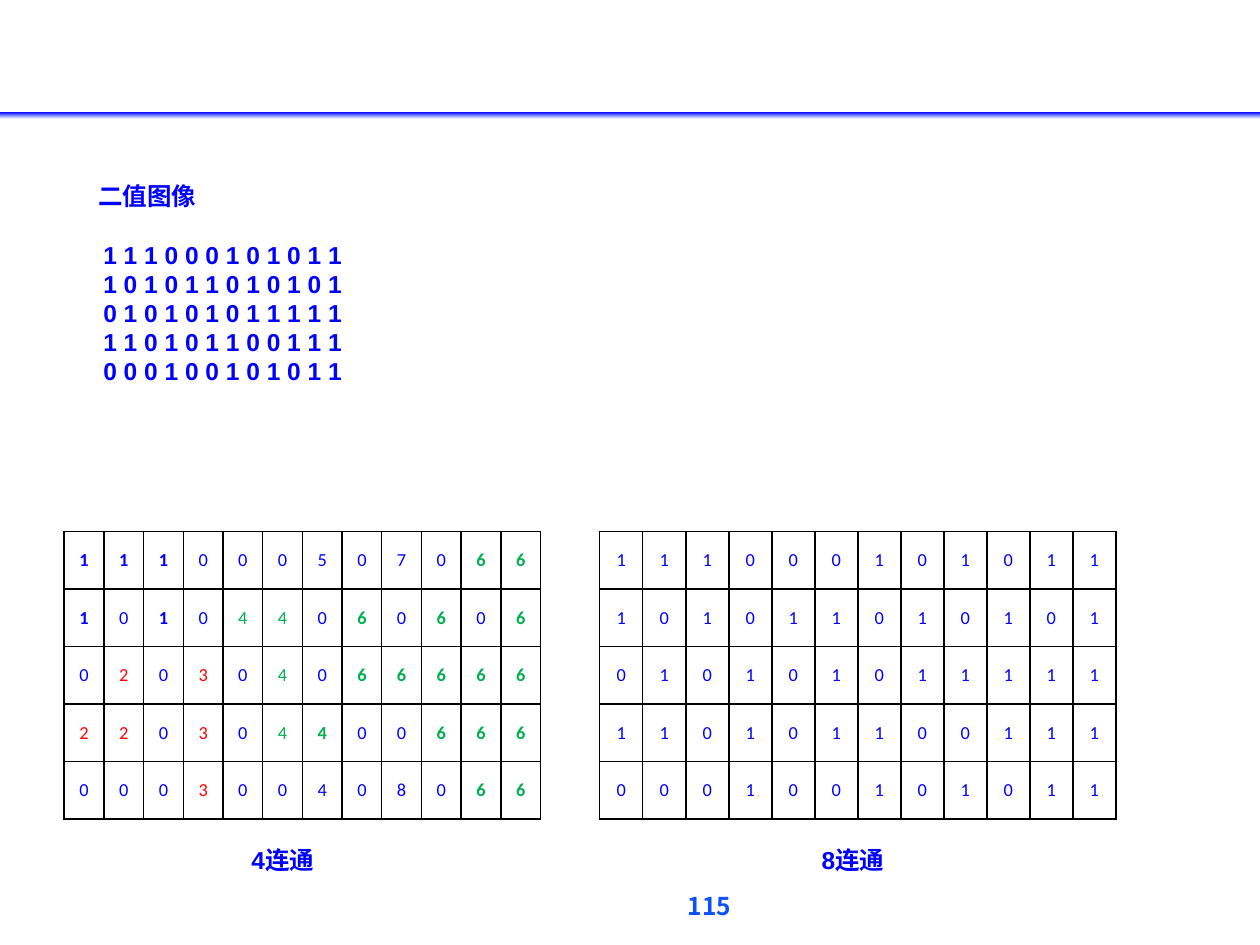
from copy import deepcopy
from dataclasses import dataclass, field

from lxml.etree import SubElement
from pptx import Presentation
from pptx.dml.color import RGBColor
from pptx.enum.shapes import MSO_SHAPE
from pptx.enum.text import MSO_ANCHOR, PP_ALIGN
from pptx.oxml.ns import qn
from pptx.util import Inches, Pt

BLUE, GREEN, RED, BLACK = "0000FF", "00B050", "FF0000", "000000"
CJK_FONT = "Noto Sans CJK SC"

BINARY_ROWS = ["111000101011", "101011010101", "010101011111",
               "110101100111", "000100101011"]
LABELLED_ROWS = ["111000507066", "101044060606", "020304066666",
                 "220304400666", "000300408066"]


@dataclass
class CellStyle:
    color: str = BLUE
    bold: bool = False


@dataclass
class Grid:
    left: float
    width: float
    rows: list[str]
    by_label: dict[str, CellStyle] = field(default_factory=dict)
    by_cell: dict[tuple[int, int], CellStyle] = field(default_factory=dict)


@dataclass
class Caption:
    text: str
    left: float
    top: float
    width: float
    height: float
    font: str = "Arial"
    color: str = BLUE
    line_spacing: float = 1.0


GRIDS = [
    Grid(0.51, 3.78, LABELLED_ROWS,
         by_label={"1": CellStyle(bold=True), "2": CellStyle(RED),
                   "3": CellStyle(RED), "4": CellStyle(GREEN),
                   "6": CellStyle(GREEN, True)},
         by_cell={(3, 6): CellStyle(GREEN, True), (4, 6): CellStyle()}),
    Grid(4.76, 4.1, BINARY_ROWS),
]
CAPTIONS = [
    Caption("4连通", 1.46, 6.66, 1.57, 0.44),
    Caption("8连通", 6.1, 6.66, 1.34, 0.44),
    Caption("115", 3.1, 7.07, 5.06, 0.3, CJK_FONT, "0B52FC", 0.8),
]


def rgb(color: str) -> RGBColor:
    return RGBColor.from_string(color)


def format_runs(p, size: float, font: str, color: str, bold: bool) -> None:
    for r in p.runs:
        r.font.size = Pt(size)
        r.font.name = font
        r.font.bold = bold
        r.font.color.rgb = rgb(color)
        SubElement(r.font._element, qn("a:ea"), typeface=CJK_FONT)


def add_header_rule(s) -> None:
    sp = s.shapes.add_shape(MSO_SHAPE.RECTANGLE, 0, Inches(0.89), Inches(10), Inches(0.05))
    sp.shadow.inherit = False
    sp.line.fill.background()
    sp.fill.gradient()
    sp.fill.gradient_angle = 270
    stops = sp._element.xpath(".//a:gsLst")[0]
    stops.append(deepcopy(stops[-1]))
    colors = [(0, BLUE), (0.89, "CCD6FF"), (1, "E6EBFF")]
    for stop, (position, color) in zip(sp.fill.gradient_stops, colors):
        stop.position = position
        stop.color.rgb = rgb(color)


def add_caption(s, caption: Caption) -> None:
    sp = s.shapes.add_textbox(Inches(caption.left), Inches(caption.top),
                              Inches(caption.width), Inches(caption.height))
    tf = sp.text_frame
    tf.word_wrap = True
    tf.text = caption.text
    p = tf.paragraphs[0]
    p.alignment = PP_ALIGN.CENTER
    p.line_spacing = caption.line_spacing
    format_runs(p, 14, caption.font, caption.color, True)


def add_binary_listing(s) -> None:
    sp = s.shapes.add_textbox(Inches(0.51), Inches(1.39), Inches(5), Inches(2.46))
    tf = sp.text_frame
    tf.word_wrap = True
    tf.margin_left = Inches(0.27)
    tf.text = "\n".join(["二值图像"] + [" ".join(row) for row in BINARY_ROWS])
    for i, p in enumerate(tf.paragraphs):
        p.line_spacing = Pt(16.7)
        if i > 0:
            p._p.get_or_add_pPr().set("marL", str(Inches(0.04)))
        if i == 1:
            p.space_before = Pt(16.7)
        format_runs(p, 14, "Arial", BLUE, True)


def add_borders(cell) -> None:
    """Put a thin black line on every side, ahead of the cell's fill."""
    tc_pr = cell._tc.get_or_add_tcPr()
    for i, side in enumerate(("a:lnL", "a:lnR", "a:lnT", "a:lnB")):
        ln = SubElement(tc_pr, qn(side), w=str(Pt(1)))
        fill = SubElement(ln, qn("a:solidFill"))
        SubElement(fill, qn("a:srgbClr"), val=BLACK)
        tc_pr.insert(i, ln)


def add_grid(s, grid: Grid) -> None:
    n_rows, n_cols = len(grid.rows), len(grid.rows[0])
    table = s.shapes.add_table(n_rows, n_cols, Inches(grid.left), Inches(4.22),
                               Inches(grid.width), Inches(2.28)).table
    table.first_row = table.horz_banding = False
    for i, row in enumerate(grid.rows):
        for j, label in enumerate(row):
            cell = table.cell(i, j)
            cell.fill.background()
            add_borders(cell)
            cell.vertical_anchor = MSO_ANCHOR.MIDDLE
            cell.margin_left = cell.margin_right = Inches(0.07)
            cell.margin_top = cell.margin_bottom = 0
            cell.text_frame.text = label
            p = cell.text_frame.paragraphs[0]
            p.alignment = PP_ALIGN.CENTER
            style = grid.by_cell.get((i, j)) or grid.by_label.get(label, CellStyle())
            format_runs(p, 10.5, "Calibri", style.color, style.bold)


def main() -> None:
    prs = Presentation()
    prs.slide_width, prs.slide_height = Inches(10), Inches(7.5)
    s = prs.slides.add_slide(prs.slide_layouts[6])
    add_header_rule(s)
    add_binary_listing(s)
    for grid in GRIDS:
        add_grid(s, grid)
    for caption in CAPTIONS:
        add_caption(s, caption)
    prs.save("out.pptx")


if __name__ == "__main__":
    main()
